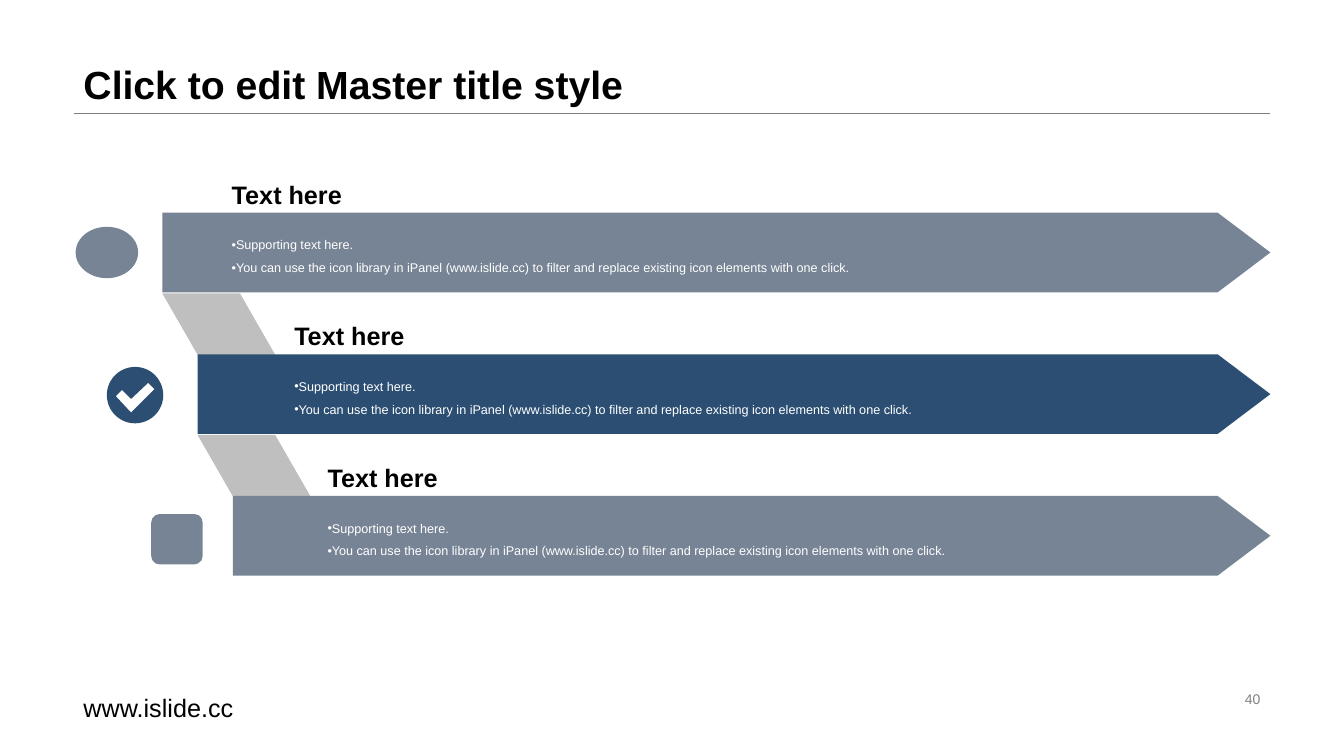
import pptx
import pptx.util
import pptx.dml.color
import pptx.enum.shapes
import pptx.enum.text
import pptx.oxml.ns
import lxml.etree

Inches = pptx.util.Inches
Kind = pptx.enum.shapes.MSO_SHAPE
Anchor = pptx.enum.text.MSO_ANCHOR
Align = pptx.enum.text.PP_ALIGN
GREY, NAVY, BAND = "778495", "2B4E72", "BFBFBF"
RIGHT, HIGH, PITCH, SHIFT = 12.6, 0.79, 1.405, 0.35
BODY = (
    "Supporting text here.\n"
    "You can use the icon library in iPanel (www.islide.cc) to filter "
    "and replace existing icon elements with one click."
)


def color(code):
    """Turn a hex string into a colour."""
    return pptx.dml.color.RGBColor.from_string(code)


def paint(shape, code):
    """Give a shape a flat fill with no line or shadow."""
    shape.shadow.inherit = False
    shape.fill.solid()
    shape.fill.fore_color.rgb = color(code)
    shape.line.fill.background()


def add_form(slide, kind, box, code, adjust=None):
    """Add a flat preset shape."""
    shape = slide.shapes.add_shape(kind, *map(Inches, box))
    paint(shape, code)
    if adjust is not None:
        shape.adjustments[0] = adjust
    return shape


def add_text(slide, box, text, size, code="000000", bold=False,
             anchor=Anchor.MIDDLE, align=Align.LEFT, spacing=1.0, bullet=False):
    """Add a text box with one style throughout."""
    frame = slide.shapes.add_textbox(*map(Inches, box)).text_frame
    frame.word_wrap = True
    frame.vertical_anchor = anchor
    frame.text = text
    for para in frame.paragraphs:
        para.alignment = align
        para.line_spacing = spacing
        if bullet:
            add_bullet(para)
        for run in para.runs:
            run.font.name = "Arial"
            run.font.size = pptx.util.Pt(size)
            run.font.bold = bold
            run.font.color.rgb = color(code)


def add_bullet(para):
    """Put a round bullet before a paragraph."""
    props = para._p.get_or_add_pPr()
    props.set("marL", "0")
    props.set("indent", str(-Inches(0.19)))
    qn = pptx.oxml.ns.qn
    lxml.etree.SubElement(props, qn("a:buFont")).set("typeface", "Arial")
    lxml.etree.SubElement(props, qn("a:buChar")).set("char", "•")


def add_rule(slide, left, right, top):
    """Draw the thin line below the title."""
    ends = map(Inches, (left, top, right, top))
    rule = slide.shapes.add_connector(
        pptx.enum.shapes.MSO_CONNECTOR.STRAIGHT, *ends)
    rule.line.color.rgb = color("808080")
    rule.line.width = pptx.util.Pt(0.25)
    props = rule.element.spPr
    lxml.etree.SubElement(props, pptx.oxml.ns.qn("a:effectLst"))


def add_band(slide, left, top):
    """Draw the slanted band that leads to the next arrow."""
    band = add_form(slide, Kind.PARALLELOGRAM, (left, top, 1.12, 0.61),
                    BAND, 0.574)
    band.element.spPr.get_or_add_xfrm().set("flipH", "1")


def add_tick(slide):
    """Draw the white tick in the round icon."""
    points = [(1.15, 3.93), (1.21, 3.87), (1.3, 3.96), (1.47, 3.8),
              (1.53, 3.86), (1.3, 4.09)]
    places = [(Inches(x), Inches(y)) for x, y in points]
    build = slide.shapes.build_freeform(*places[0])
    build.add_line_segments(places[1:], close=True)
    paint(build.convert_to_shape(), "FFFFFF")


def add_row(slide, index, code, indent, kind, icon):
    """Add an arrow with its icon, heading and bullets."""
    left, top = 1.61 + index * SHIFT, 2.11 + index * PITCH
    add_form(slide, Kind.PENTAGON, (left, top, RIGHT - left, HIGH), code, 0.662)
    add_form(slide, kind, icon, code)
    add_text(slide, (indent, top, 12.03 - indent, HIGH), BODY, 9, "FFFFFF",
             spacing=1.5, bullet=True)
    add_text(slide, (indent, top - 0.39, 2.55, 0.41), "Text here", 18, bold=True)


def main():
    """Build the slide and save it."""
    deck = pptx.Presentation()
    deck.slide_width, deck.slide_height = Inches(13.33), Inches(7.5)
    slide = deck.slides.add_slide(deck.slide_layouts[6])
    add_rule(slide, 0.73, RIGHT, 1.12)
    add_text(slide, (0.73, 0, 11.87, 1.12), "Click to edit Master title style",
             28, bold=True, anchor=Anchor.BOTTOM, spacing=0.9)
    add_text(slide, (0.73, 6.82, 4.53, 0.23), "www.islide.cc", 18,
             anchor=Anchor.TOP)
    add_text(slide, (9.42, 6.82, 3.18, 0.23), "40", 10, "808080",
             align=Align.RIGHT)
    for index in range(2):
        add_band(slide, 1.61 + index * SHIFT, 2.91 + index * PITCH)
    rows = [
        (GREY, 2.2, Kind.OVAL, (0.75, 2.25, 0.62, 0.51)),
        (NAVY, 2.82, Kind.OVAL, (1.06, 3.64, 0.56, 0.56)),
        (GREY, 3.15, Kind.ROUNDED_RECTANGLE, (1.5, 5.1, 0.51, 0.5)),
    ]
    for index, row in enumerate(rows):
        add_row(slide, index, *row)
    add_tick(slide)
    deck.save("out.pptx")


if __name__ == "__main__":
    main()
